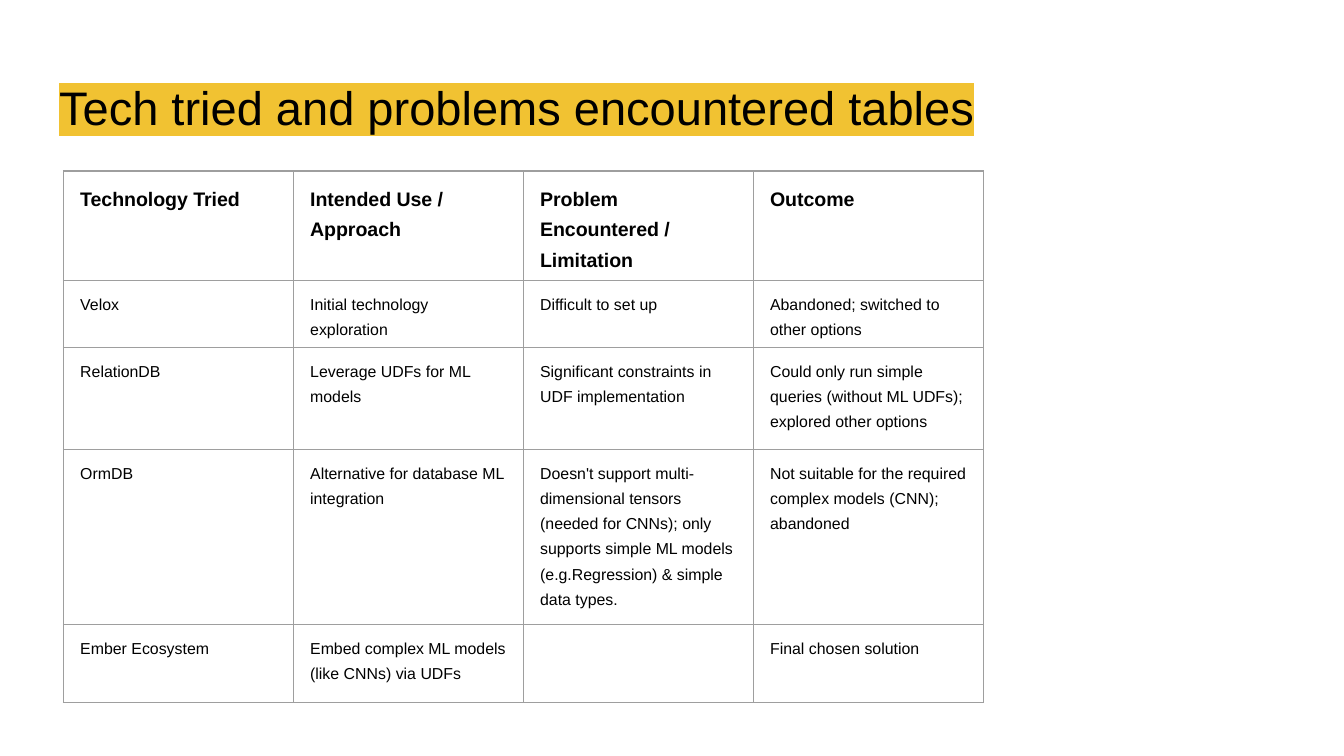
from dataclasses import dataclass

from lxml.etree import SubElement
from pptx import Presentation
from pptx.dml.color import RGBColor
from pptx.enum.text import MSO_ANCHOR, MSO_AUTO_SIZE, PP_ALIGN
from pptx.oxml.ns import qn
from pptx.util import Pt


@dataclass(frozen=True)
class Theme:
    font: str = "Arial"
    ink: str = "000000"
    paper: str = "FFFFFF"
    highlight: str = "F1C232"
    border: str = "9E9E9E"
    border_width: float = 0.75
    title_size: float = 25.2
    header_size: float = 10.5
    body_size: float = 8.5
    line_spacing: float = 1.42


@dataclass(frozen=True)
class Box:
    left: float
    top: float
    width: float
    height: float


THEME = Theme()
TITLE = "Tech tried and problems encountered tables"
ROWS = [
    ("Technology Tried", "Intended Use / Approach",
     "Problem Encountered / Limitation", "Outcome"),
    ("Velox", "Initial technology exploration", "Difficult to set up",
     "Abandoned; switched to other options"),
    ("RelationDB", "Leverage UDFs for ML models",
     "Significant constraints in UDF implementation",
     "Could only run simple queries (without ML UDFs); explored other options"),
    ("OrmDB", "Alternative for database ML integration",
     "Doesn't support multi-dimensional tensors (needed for CNNs); only "
     "supports simple ML models (e.g.Regression) & simple data types.",
     "Not suitable for the required complex models (CNN); abandoned"),
    ("Ember Ecosystem", "Embed complex ML models (like CNNs) via UDFs", "",
     "Final chosen solution"),
]
ROW_HEIGHTS = [58.4, 35.9, 54.7, 93.7, 41.8]


def set_values(target, values):
    for name, value in values.items():
        setattr(target, name, value)


def add_color(parent, color):
    SubElement(parent, qn("a:srgbClr"), val=color)


def add_highlight(span, color):
    properties = span.font._element
    highlight = SubElement(properties, qn("a:highlight"))
    add_color(highlight, color)
    properties.find(qn("a:latin")).addprevious(highlight)


def format_font(font, size, bold=False):
    set_values(font, {"name": THEME.font, "size": Pt(size), "bold": bold})
    font.color.rgb = RGBColor.from_string(THEME.ink)


def draw_borders(cell):
    properties = cell._tc.get_or_add_tcPr()
    for position, side in enumerate(("a:lnL", "a:lnR", "a:lnT", "a:lnB")):
        line = SubElement(properties, qn(side), w=str(Pt(THEME.border_width)))
        add_color(SubElement(line, qn("a:solidFill")), THEME.border)
        properties.insert(position, line)


def fill_cell(cell, text, size, bold):
    set_values(cell, {
        "margin_left": Pt(9), "margin_right": Pt(9),
        "margin_top": Pt(4.5), "margin_bottom": Pt(4.5),
        "vertical_anchor": MSO_ANCHOR.TOP,
    })
    cell.fill.background()
    draw_borders(cell)
    para = cell.text_frame.paragraphs[0]
    para.line_spacing = THEME.line_spacing
    if text:
        span = para.add_run()
        span.text = text
        format_font(span.font, size, bold)
    else:
        para.font.size = Pt(size)


def place_title(page, box):
    title = page.shapes.title
    set_values(title, {
        "left": Pt(box.left), "top": Pt(box.top),
        "width": Pt(box.width), "height": Pt(box.height),
    })
    set_values(title.text_frame, {
        "margin_left": Pt(7.2), "margin_right": Pt(7.2),
        "margin_top": Pt(7.2), "margin_bottom": Pt(7.2),
        "word_wrap": True, "auto_size": MSO_AUTO_SIZE.NONE,
        "vertical_anchor": MSO_ANCHOR.TOP,
    })
    para = title.text_frame.paragraphs[0]
    set_values(para, {"alignment": PP_ALIGN.LEFT, "line_spacing": 1.0,
                      "space_before": Pt(0)})
    span = para.add_run()
    span.text = TITLE
    format_font(span.font, THEME.title_size)
    add_highlight(span, THEME.highlight)


def place_table(page, box):
    frame = page.shapes.add_table(len(ROWS), len(ROWS[0]), Pt(box.left),
                                  Pt(box.top), Pt(box.width), Pt(box.height))
    table = frame.table
    set_values(table, {"first_row": False, "horz_banding": False})
    for column in table.columns:
        column.width = Pt(box.width / len(ROWS[0]))
    for row_index, (texts, height) in enumerate(zip(ROWS, ROW_HEIGHTS)):
        table.rows[row_index].height = Pt(height)
        header = row_index == 0
        size = THEME.header_size if header else THEME.body_size
        for column_index, text in enumerate(texts):
            fill_cell(table.cell(row_index, column_index), text, size, header)


def main():
    deck = Presentation()
    set_values(deck, {"slide_width": Pt(720), "slide_height": Pt(405)})
    page = deck.slides.add_slide(deck.slide_layouts[5])
    page.background.fill.solid()
    page.background.fill.fore_color.rgb = RGBColor.from_string(THEME.paper)
    place_title(page, Box(24.5, 35, 671, 45.4))
    place_table(page, Box(34, 91.6, 492.8, sum(ROW_HEIGHTS)))
    deck.save("out.pptx")


if __name__ == "__main__":
    main()
